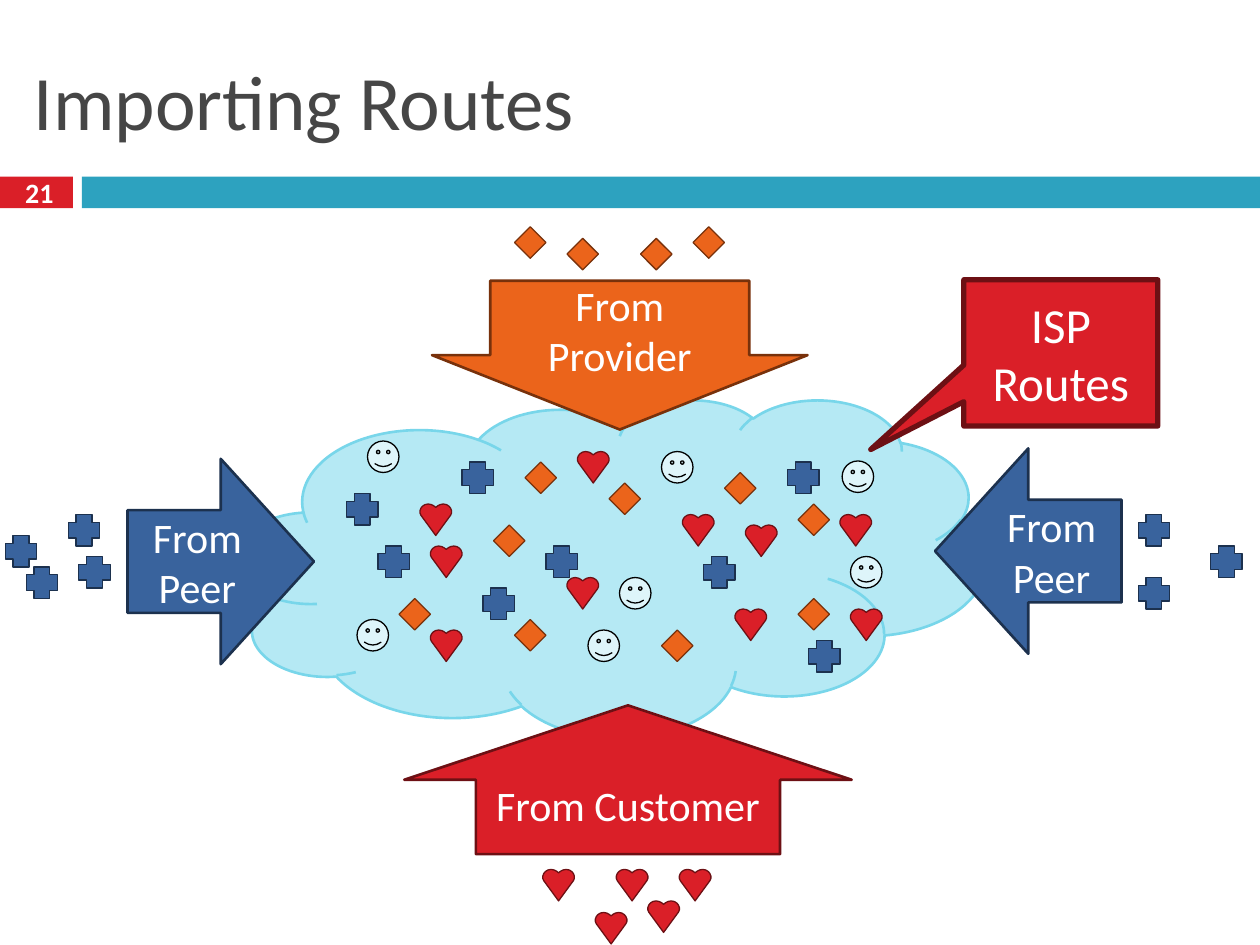
from pptx import Presentation
from pptx import util as u
from pptx.dml.color import RGBColor
from pptx.enum import shapes, text

WHITE = RGBColor(0xFF, 0xFF, 0xFF)
BLACK = RGBColor(0x00, 0x00, 0x00)
GRAY = RGBColor(0x46, 0x46, 0x46)
TEAL = RGBColor(0x2D, 0xA2, 0xBF)
SKY = RGBColor(0xB5, 0xE9, 0xF4)
SKY_EDGE = RGBColor(0x78, 0xD6, 0xEA)
PALE = RGBColor(0xDE, 0xF5, 0xFA)
RED = RGBColor(0xDA, 0x1F, 0x28)
RED_EDGE = RGBColor(0x6D, 0x10, 0x14)
ORANGE = RGBColor(0xEB, 0x64, 0x1B)
ORANGE_EDGE = RGBColor(0x78, 0x31, 0x0B)
BLUE = RGBColor(0x39, 0x63, 0x9D)
BLUE_EDGE = RGBColor(0x1C, 0x31, 0x4E)

KIND = shapes.MSO_SHAPE
GRID = u.Cm(2.54) / 12
TOKEN = 3 * GRID

DIAMONDS = [(76, 48), (49, 59), (76, 57), (50, 44), (69, 45), (63, 60), (58, 46),
            (38, 57), (47, 50), (49, 21.6), (54, 22.7), (61, 22.7), (66, 21.6)]
CROSSES = [(33, 47), (52, 52), (77, 61), (75, 44), (36, 52), (46, 56), (67, 53),
           (44, 44), (0.5, 51), (2.5, 54), (6.5, 49), (7.5, 53),
           (108.4, 49), (108.4, 55), (115.3, 52)]
SMILEYS = [(56, 60), (63, 43), (34, 59), (35, 42), (81, 53), (59, 55), (80.2, 43.9)]
HEARTS = [(81, 58), (70, 58), (41, 60), (41, 52), (40, 48), (54, 55), (65, 49),
          (55, 43), (80, 49), (71, 50), (51.7, 82.8), (58.7, 82.8), (64.7, 82.8),
          (56.7, 86.9), (61.7, 85.8)]
HEART_LOBE = [(44, 6), (36, 2), (26, 0), (16, 2), (8, 7), (3, 13), (0, 21), (0, 29), (3, 36)]

ARROWS = [
    (KIND.DOWN_ARROW, (8.71, 5.66, 7.57, 3), "From Provider", ORANGE, ORANGE_EDGE, (0.69, 0.5)),
    (KIND.LEFT_ARROW, (18.85, 9.04, 3.76, 4.14), "From Peer", BLUE, BLUE_EDGE, (0.5, 0.5)),
    (KIND.RIGHT_ARROW, (2.57, 9.25, 3.76, 4.14), "From Peer", BLUE, BLUE_EDGE, (0.5, 0.5)),
    (KIND.UP_ARROW, (8.15, 14.22, 9.02, 3), "From Customer", RED, RED_EDGE, (0.68, 0.5)),
]


def paint(shape, fill, edge=None, width=0.75):
    shape.shadow.inherit = False
    shape.fill.solid()
    shape.fill.fore_color.rgb = fill
    if edge is None:
        shape.line.fill.background()
    else:
        shape.line.color.rgb = edge
        shape.line.width = u.Pt(width)


def write(shape, content, size, color=WHITE, align=text.PP_ALIGN.CENTER, bold=False):
    frame = shape.text_frame
    frame.text = content
    frame.word_wrap = True
    frame.vertical_anchor = text.MSO_ANCHOR.MIDDLE
    paragraph = frame.paragraphs[0]
    paragraph.alignment = align
    font = paragraph.runs[0].font
    for name, value in {"name": "Calibri", "size": u.Pt(size), "bold": bold}.items():
        setattr(font, name, value)
    font.color.rgb = color


def add_block(slide, kind, box, fill, edge=None, width=1.5, adjustments=()):
    shape = slide.shapes.add_shape(kind, *map(u.Cm, box))
    paint(shape, fill, edge, width)
    for index, value in enumerate(adjustments):
        shape.adjustments[index] = value
    return shape


def add_tokens(slide, kind, places, fill, edge):
    for column, row in places:
        shape = slide.shapes.add_shape(
            kind, round(column * GRID), round(row * GRID), round(TOKEN), round(TOKEN))
        paint(shape, fill, edge)


def add_hearts(slide, places):
    mirrored = [(100 - x, y) for x, y in reversed(HEART_LOBE)]
    for column, row in places:
        builder = slide.shapes.build_freeform(50, 11, scale=TOKEN / 100)
        builder.add_line_segments(HEART_LOBE + [(50, 100)] + mirrored, close=True)
        heart = builder.convert_to_shape(round(column * GRID), round(row * GRID))
        paint(heart, RED, RED_EDGE)


def add_title(slide, content):
    title = slide.shapes.title
    box = {"left": 0.43, "top": 0.64, "width": 24.56, "height": 2.74}
    for name, value in box.items():
        setattr(title, name, u.Cm(value))
    write(title, content, 44, GRAY, text.PP_ALIGN.LEFT)


def add_page_number(slide, number):
    label = slide.shapes.add_textbox(*map(u.Cm, (-0.03, 3.51, 1.65, 0.74)))
    for side in ("left", "top", "right", "bottom"):
        setattr(label.text_frame, f"margin_{side}", 0)
    write(label, number, 16, bold=True)


def main():
    presentation = Presentation()
    presentation.slide_width = u.Cm(25.4)
    presentation.slide_height = u.Cm(19.05)
    slide = presentation.slides.add_slide(presentation.slide_layouts[5])

    add_title(slide, "Importing Routes")
    add_block(slide, KIND.RECTANGLE, (0, 3.56, 1.47, 0.64), RED)
    add_block(slide, KIND.RECTANGLE, (1.65, 3.56, 23.75, 0.64), TEAL)
    add_page_number(slide, "21")

    add_block(slide, KIND.CLOUD, (4.75, 8.05, 15.11, 6.81), SKY, SKY_EDGE)
    add_tokens(slide, KIND.DIAMOND, DIAMONDS, ORANGE, ORANGE_EDGE)
    add_tokens(slide, KIND.CROSS, CROSSES, BLUE, BLUE_EDGE)
    add_tokens(slide, KIND.SMILEY_FACE, SMILEYS, PALE, BLACK)
    add_hearts(slide, HEARTS)

    for kind, box, content, fill, edge, adjustments in ARROWS:
        arrow = add_block(slide, kind, box, fill, edge, adjustments=adjustments)
        write(arrow, content, 24)
    callout = add_block(slide, KIND.RECTANGULAR_CALLOUT, (19.43, 5.64, 3.91, 2.95),
                        RED, RED_EDGE, 3, (-0.98, 0.66))
    write(callout, "ISP Routes", 28)

    presentation.save("out.pptx")


if __name__ == "__main__":
    main()
